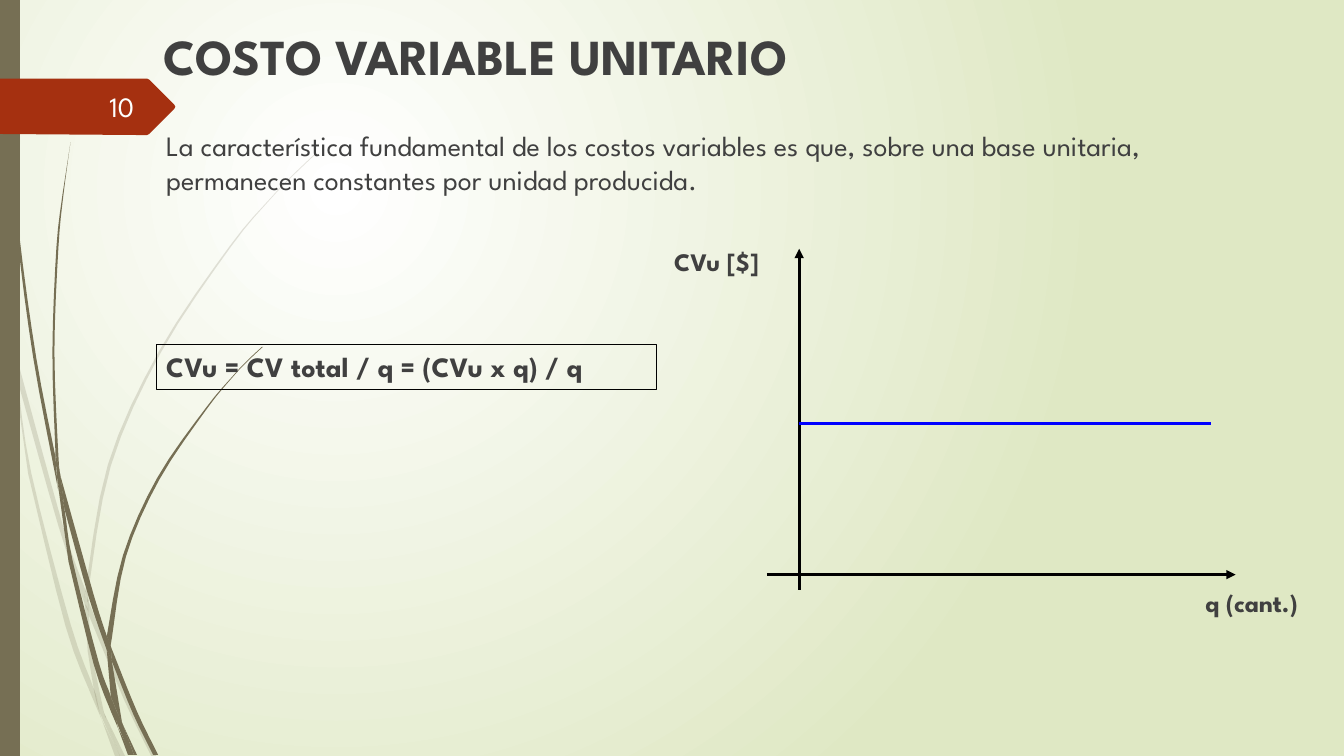
from dataclasses import dataclass

from pptx import Presentation
from pptx.dml.color import RGBColor as Rgb
from pptx.enum.shapes import MSO_CONNECTOR as Link, MSO_SHAPE as Form
from pptx.enum.text import MSO_ANCHOR as Anchor, PP_ALIGN as Align
from pptx.oxml import parse_xml
from pptx.oxml.ns import nsdecls
from pptx.util import Cm, Pt


@dataclass(frozen=True)
class Theme:
    font: str = "League Spartan"
    ink: str = "404040"
    paper: str = "FEFFFF"
    centre: str = "FFFFFF"
    rim: str = "DFE8C4"
    olive: str = "766F54"
    rust: str = "A53010"
    axis: str = "000000"
    cost: str = "0000FF"
    title: int = 36
    body: int = 20
    label: int = 18
    stroke: float = 2.25
    frame: float = 0.75


PALE_STEMS = [
    ([(11, 350), (9, 322), (0, 282)], [(0, 299), (10, 344)]),
    ([(14, 345), (62, 520), (85, 586)], [(84, 599), (58, 522), (17, 376)]),
    ([(88, 596), (92, 607), (127, 692), (155, 750)], [(150, 750), (123, 694), (88, 610)]),
    ([(105, 711), (124, 750)], [(119, 750)]),
    ([(11, 350), (17, 376), (31, 469), (70, 619), (93, 683), (99, 707), (101, 714)],
     [(92, 693), (65, 621), (28, 470)]),
    ([(84, 599), (88, 608), (91, 646), (103, 706), (105, 711)],
     [(96, 692), (93, 683), (87, 646)]),
    ([(88, 596), (88, 584), (110, 462), (160, 349), (229, 245), (268, 198), (290, 175), (312, 154)],
     [(312, 153), (289, 175), (268, 197), (228, 244), (158, 348), (107, 461), (85, 584), (85, 586)]),
    ([(101, 714), (114, 750)], [(119, 750)]),
    ([(88, 608), (88, 596), (85, 586)], [(84, 599)]),
    ([(93, 683), (99, 707), (119, 750)], [(105, 711), (96, 692)]),
]
DARK_STEMS = [
    ([(3, 0), (4, 48), (7, 110), (17, 233), (33, 355), (56, 477), (57, 481)],
     [(55, 453), (36, 355), (19, 232), (8, 109), (5, 48), (4, 0)]),
    ([(60, 472), (93, 590), (106, 631)], [(106, 645), (88, 592), (64, 505)]),
    ([(110, 641), (113, 649), (136, 706), (157, 749)], [(152, 749), (132, 708), (111, 656)]),
    ([(57, 477), (64, 505), (72, 556), (98, 657), (110, 691), (116, 717), (117, 722)],
     [(111, 708), (93, 659), (68, 557)]),
    ([(60, 472), (58, 453), (54, 349), (58, 245), (63, 193), (70, 141)],
     [(62, 193), (56, 245), (52, 349), (55, 449)]),
    ([(122, 719), (136, 749)], [(133, 749)]),
    ([(55, 449), (60, 472), (64, 505)], [(57, 477), (55, 453)]),
    ([(110, 641), (111, 633), (125, 552), (158, 476), (205, 406), (231, 374), (245, 359), (261, 344)],
     [(260, 344), (245, 358), (231, 373), (204, 405), (156, 474), (122, 551), (106, 631)]),
    ([(117, 722), (127, 749)], [(131, 749)]),
    ([(106, 645), (109, 651), (111, 656), (121, 716), (122, 719)], [(116, 706), (110, 691)]),
    ([(106, 631), (110, 641), (111, 656)], [(106, 645)]),
    ([(110, 691), (116, 717), (130, 749)], [(133, 749), (122, 719), (116, 706)]),
]
PAGE_TAG = [(0, 78), (146, 78), (148, 79), (173, 104), (174, 106), (173, 108),
            (148, 133), (146, 134), (136, 134), (0, 133)]


def smooth(points, steps=4):
    """Return the points of a Catmull-Rom curve through an open edge."""
    padded = [points[0], *points, points[-1]]
    curve = []
    for a, b, c, d in zip(padded, padded[1:], padded[2:], padded[3:]):
        for step in range(steps):
            t = step / steps
            curve.append(tuple(
                q + t * (r - p) / 2 + t * t * (2 * p - 5 * q + 4 * r - s) / 2
                + t ** 3 * (3 * q - p - 3 * r + s) / 2
                for p, q, r, s in zip(a, b, c, d)))
    return curve + [points[-1]]


class Painter:
    """Draw styled elements on the current slide."""

    def __init__(self, page, theme):
        self.page = page
        self.theme = theme

    def backdrop(self):
        """Fill the background with a radial gradient."""
        fill = self.page.background.fill
        fill.gradient()
        for stop, color in zip(fill.gradient_stops, (self.theme.centre, self.theme.rim)):
            stop.color.rgb = Rgb.from_string(color)
        linear = self.page.element.xpath(".//a:lin")[0]
        linear.getparent().replace(linear, parse_xml(
            f'<a:path {nsdecls("a")} path="circle">'
            '<a:fillToRect l="50000" t="50000" r="100000" b="100000"/></a:path>'))

    def outline(self, shapes, points, color, opacity=100):
        """Draw a closed shape from points in hundredths of an inch."""
        start, *rest = [(Cm(x * 0.0254), Cm(y * 0.0254)) for x, y in points]
        builder = shapes.build_freeform(*start)
        builder.add_line_segments(rest, close=True)
        shape = builder.convert_to_shape()
        self.paint(shape, color)
        if opacity < 100:
            shape.element.xpath("./p:spPr/a:solidFill/a:srgbClr")[0].append(
                parse_xml(f'<a:alpha {nsdecls("a")} val="{opacity * 1000}"/>'))

    def stems(self, pieces, opacity=100):
        """Draw a group of curved stems."""
        group = self.page.shapes.add_group_shape()
        for left, right in pieces:
            self.outline(group.shapes, smooth(left) + smooth(right), self.theme.olive, opacity)

    def paint(self, shape, color):
        """Give a shape a plain fill without line or shadow."""
        shape.shadow.inherit = False
        shape.fill.solid()
        shape.fill.fore_color.rgb = Rgb.from_string(color)
        shape.line.fill.background()

    def bar(self, *place):
        """Draw a plain olive rectangle."""
        shape = self.page.shapes.add_shape(Form.RECTANGLE, *map(Cm, place))
        self.paint(shape, self.theme.olive)

    def letter(self, box, text, size, bold=False, color=None, align=Align.LEFT, anchor=Anchor.TOP):
        """Set one styled paragraph in a box."""
        frame = box.text_frame
        frame.word_wrap = True
        frame.vertical_anchor = anchor
        para = frame.paragraphs[0]
        para.alignment = align
        span = para.add_run()
        span.text = text
        span.font.name = self.theme.font
        span.font.size = Pt(size)
        span.font.bold = bold
        span.font.color.rgb = Rgb.from_string(color or self.theme.ink)

    def text(self, place, text, size, **style):
        """Add a text box."""
        self.letter(self.page.shapes.add_textbox(*map(Cm, place)), text, size, **style)

    def framed(self, place, text, size, **style):
        """Add text in an unfilled rectangle with a thin frame."""
        box = self.page.shapes.add_shape(Form.RECTANGLE, *map(Cm, place))
        box.shadow.inherit = False
        box.fill.background()
        box.line.color.rgb = Rgb.from_string(self.theme.axis)
        box.line.width = Pt(self.theme.frame)
        self.letter(box, text, size, **style)

    def line(self, *ends, color, arrow=False):
        """Draw a straight line, with an arrowhead at its end if asked."""
        link = self.page.shapes.add_connector(Link.STRAIGHT, *map(Cm, ends))
        link.line.color.rgb = Rgb.from_string(color)
        link.line.width = Pt(self.theme.stroke)
        if arrow:
            link.element.xpath("./p:spPr/a:ln")[0].append(
                parse_xml(f'<a:tailEnd {nsdecls("a")} type="triangle"/>'))
        link.element.spPr.append(parse_xml(f'<a:effectLst {nsdecls("a")}/>'))


def main():
    """Build the slide and save the deck."""
    deck = Presentation()
    deck.slide_width, deck.slide_height = Cm(33.87), Cm(19.05)
    page = deck.slides.add_slide(deck.slide_layouts[6])
    theme = Theme()
    painter = Painter(page, theme)

    painter.backdrop()
    painter.stems(PALE_STEMS, opacity=20)
    painter.stems(DARK_STEMS)
    painter.bar(0, 0, 0.5, 19.05)
    painter.outline(page.shapes, PAGE_TAG, theme.rust)

    painter.text((3.86, 0.5, 20.88, 1.78), "COSTO VARIABLE UNITARIO", theme.title, bold=True)
    painter.text((3.94, 3.12, 26.16, 1.96),
                 "La característica fundamental de los costos variables es que, sobre una base "
                 "unitaria, permanecen constantes por unidad producida.", theme.body)

    origin_x, origin_y = 20.14, 14.48
    painter.line(origin_x, 14.86, origin_x, 6.27, color=theme.axis, arrow=True)
    painter.line(19.33, origin_y, 31.14, origin_y, color=theme.axis, arrow=True)
    painter.text((16.74, 6.07, 3.4, 1.02), "CVu [$]", theme.label, bold=True)
    painter.text((30.12, 14.68, 3.4, 1.02), "q (cant.)", theme.label, bold=True)
    painter.framed((3.94, 8.69, 12.6, 1.12), "CVu = CV total / q = (CVu x q) / q",
                   theme.body, bold=True)
    painter.line(origin_x, 10.67, 30.53, 10.67, color=theme.cost)
    painter.text((1.47, 2.18, 2.16, 1.02), "10", theme.body, color=theme.paper,
                 align=Align.RIGHT, anchor=Anchor.MIDDLE)

    deck.save("out.pptx")


if __name__ == "__main__":
    main()
